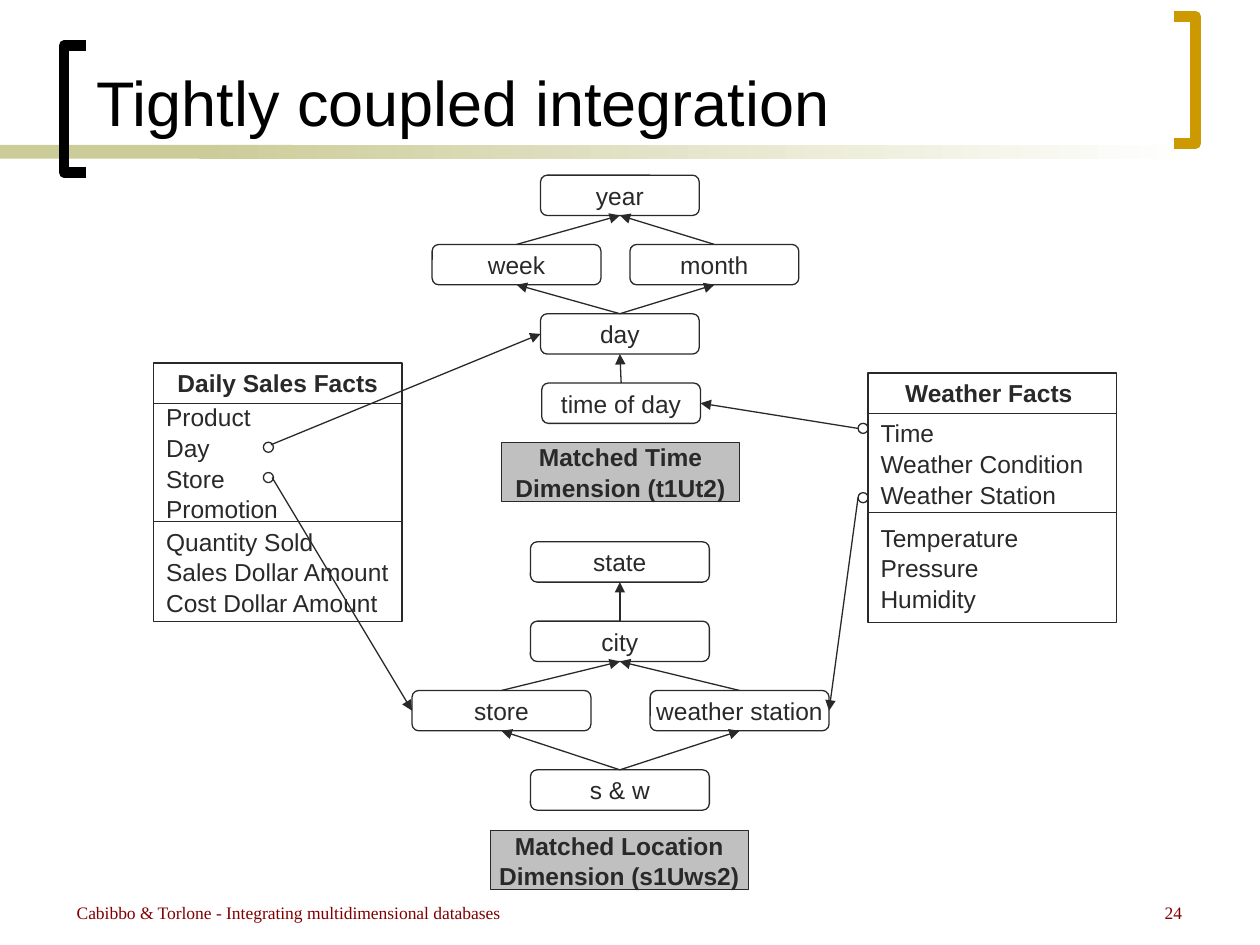
from lxml import etree
from pptx import Presentation
from pptx.dml.color import RGBColor
from pptx.enum.shapes import MSO_CONNECTOR, MSO_SHAPE
from pptx.enum.text import MSO_ANCHOR, PP_ALIGN
from pptx.oxml.ns import qn
from pptx.util import Inches, Pt

INK = RGBColor(0x29, 0x29, 0x29)
BLACK = RGBColor(0, 0, 0)
WHITE = RGBColor(0xFF, 0xFF, 0xFF)
GOLD = RGBColor(0xCC, 0x99, 0x00)
KHAKI = RGBColor(0xCC, 0xCC, 0x99)
GREY = RGBColor(0xC0, 0xC0, 0xC0)
MAROON = RGBColor(0x80, 0, 0)

prs = Presentation()
prs.slide_width, prs.slide_height = Inches(10), Inches(7.5)
s = prs.slides.add_slide(prs.slide_layouts[6])


def write(sp, text, size=14, font="Arial", color=INK, bold=False, align=PP_ALIGN.CENTER,
          anchor=MSO_ANCHOR.MIDDLE, wrap=False, spacing=None):
    """Fill a shape with text, one paragraph per line."""
    tf = sp.text_frame
    tf.word_wrap = wrap
    tf.vertical_anchor = anchor
    tf.text = text
    for p in tf.paragraphs:
        p.alignment = align
        p.line_spacing = spacing
        p.font.size, p.font.name, p.font.bold = Pt(size), font, bold
        p.font.color.rgb = color


def add_box(kind, x, y, w, h, fill=None, line=INK):
    sp = s.shapes.add_shape(kind, Inches(x), Inches(y), Inches(w), Inches(h))
    sp.shadow.inherit = False
    if fill is None:
        sp.fill.background()
    else:
        sp.fill.solid()
        sp.fill.fore_color.rgb = fill
    if line is None:
        sp.line.fill.background()
    else:
        sp.line.color.rgb = line
        sp.line.width = Pt(0.75)
    return sp


# Title band and brackets
add_box(MSO_SHAPE.RECTANGLE, 0, 1.15, 2.33, 0.11, fill=KHAKI, line=None)
fade = add_box(MSO_SHAPE.RECTANGLE, 1.58, 1.15, 7.92, 0.11, line=None)
fade.fill.gradient()
fade.fill.gradient_angle = 0
for stop, color, position in zip(fade.fill.gradient_stops, (KHAKI, WHITE), (0, 1)):
    stop.color.rgb = color
    stop.position = position

for open_x, back_x, top, bottom, color in (
    (0.68, 0.51, 0.36, 1.37, BLACK),
    (9.32, 9.49, 0.13, 1.14, GOLD),
):
    builder = s.shapes.build_freeform(Inches(open_x), Inches(top))
    builder.add_line_segments(
        [(Inches(x), Inches(y)) for x, y in ((back_x, top), (back_x, bottom), (open_x, bottom))],
        close=False)
    bracket = builder.convert_to_shape()
    bracket.shadow.inherit = False
    bracket.fill.background()
    bracket.line.color.rgb = color
    bracket.line.width = Pt(6)

# Title and footer
for x, y, w, h, text, style in (
    (0.67, 0.35, 8.66, 0.8, "Tightly coupled integration",
     dict(size=36, color=BLACK, align=PP_ALIGN.LEFT, anchor=MSO_ANCHOR.BOTTOM)),
    (0.51, 7.11, 6.69, 0.26, "Cabibbo & Torlone - Integrating multidimensional databases",
     dict(size=10, font="Times New Roman", color=MAROON, align=PP_ALIGN.LEFT,
          anchor=MSO_ANCHOR.TOP)),
    (7.4, 7.11, 2.08, 0.26, "24",
     dict(size=10, font="Times New Roman", color=MAROON, align=PP_ALIGN.RIGHT,
          anchor=MSO_ANCHOR.TOP)),
):
    tb = s.shapes.add_textbox(Inches(x), Inches(y), Inches(w), Inches(h))
    write(tb, text, wrap=True, **style)

# Fact tables: a heading over its dimensions and its measures
for x, y, sections in (
    (1.22, 2.88, ((0.32, "Daily Sales Facts"),
                  (0.94, "Product\nDay\nStore\nPromotion"),
                  (0.79, "Quantity Sold\nSales Dollar Amount\nCost Dollar Amount"))),
    (6.89, 2.96, ((0.32, "Weather Facts "),
                  (0.79, "Time\nWeather Condition\nWeather Station"),
                  (0.87, "Temperature\nPressure\nHumidity"))),
):
    for i, (h, text) in enumerate(sections):
        sp = add_box(MSO_SHAPE.RECTANGLE, x, y, 1.97, h)
        if i == 0:
            write(sp, text, bold=True)
        else:
            write(sp, text, align=PP_ALIGN.LEFT, spacing=1.04)
        y += h

# Dimension captions
for x, y, w, text in (
    (3.98, 3.51, 1.89, "Matched Time\nDimension (t1Ut2)"),
    (3.89, 6.59, 2.05, "Matched Location\nDimension (s1Uws2)"),
):
    sp = add_box(MSO_SHAPE.RECTANGLE, x, y, w, 0.47, fill=GREY)
    write(sp, text, bold=True, spacing=1.04)

# Levels of the two hierarchies
levels = {}
for name, x, y, w in (
    ("year", 4.29, 1.39, 1.26),
    ("week", 3.43, 1.94, 1.34),
    ("month", 5, 1.94, 1.34),
    ("day", 4.29, 2.49, 1.26),
    ("time of day", 4.3, 3.04, 1.26),
    ("state", 4.21, 4.3, 1.42),
    ("city", 4.21, 4.93, 1.42),
    ("store", 3.27, 5.48, 1.42),
    ("weather station", 5.16, 5.48, 1.42),
    ("s & w", 4.21, 6.11, 1.42),
):
    levels[name] = add_box(MSO_SHAPE.ROUNDED_RECTANGLE, x, y, w, 0.32)
    write(levels[name], name)

# Link ends on the fact tables
for x, y in ((2.09, 3.51), (2.09, 3.75), (6.81, 3.36), (6.81, 3.91)):
    add_box(MSO_SHAPE.OVAL, x, y, 0.08, 0.08)

# Arrows start at a level's top or at a point, and end at a side of a level
TOP, LEFT, BOTTOM, RIGHT = range(4)
for start, end, side in (
    ("week", "year", BOTTOM),
    ("month", "year", BOTTOM),
    ("day", "week", BOTTOM),
    ("day", "month", BOTTOM),
    ("time of day", "day", BOTTOM),
    ("city", "state", BOTTOM),
    ("store", "city", BOTTOM),
    ("weather station", "city", BOTTOM),
    ("s & w", "store", BOTTOM),
    ("s & w", "weather station", BOTTOM),
    ((2.15, 3.53), "day", LEFT),
    ((2.16, 3.79), "store", LEFT),
    ((6.81, 3.4), "time of day", RIGHT),
    ((6.81, 3.95), "weather station", RIGHT),
):
    x, y = (0, 0) if start in levels else start
    arrow = s.shapes.add_connector(MSO_CONNECTOR.STRAIGHT, Inches(x), Inches(y),
                                   Inches(x), Inches(y))
    if start in levels:
        arrow.begin_connect(levels[start], TOP)
    arrow.end_connect(levels[end], side)
    arrow.line.color.rgb = INK
    arrow.line.width = Pt(0.75)
    etree.SubElement(arrow.line._get_or_add_ln(), qn("a:tailEnd"), type="triangle")
    etree.SubElement(arrow._element.spPr, qn("a:effectLst"))

prs.save("out.pptx")
